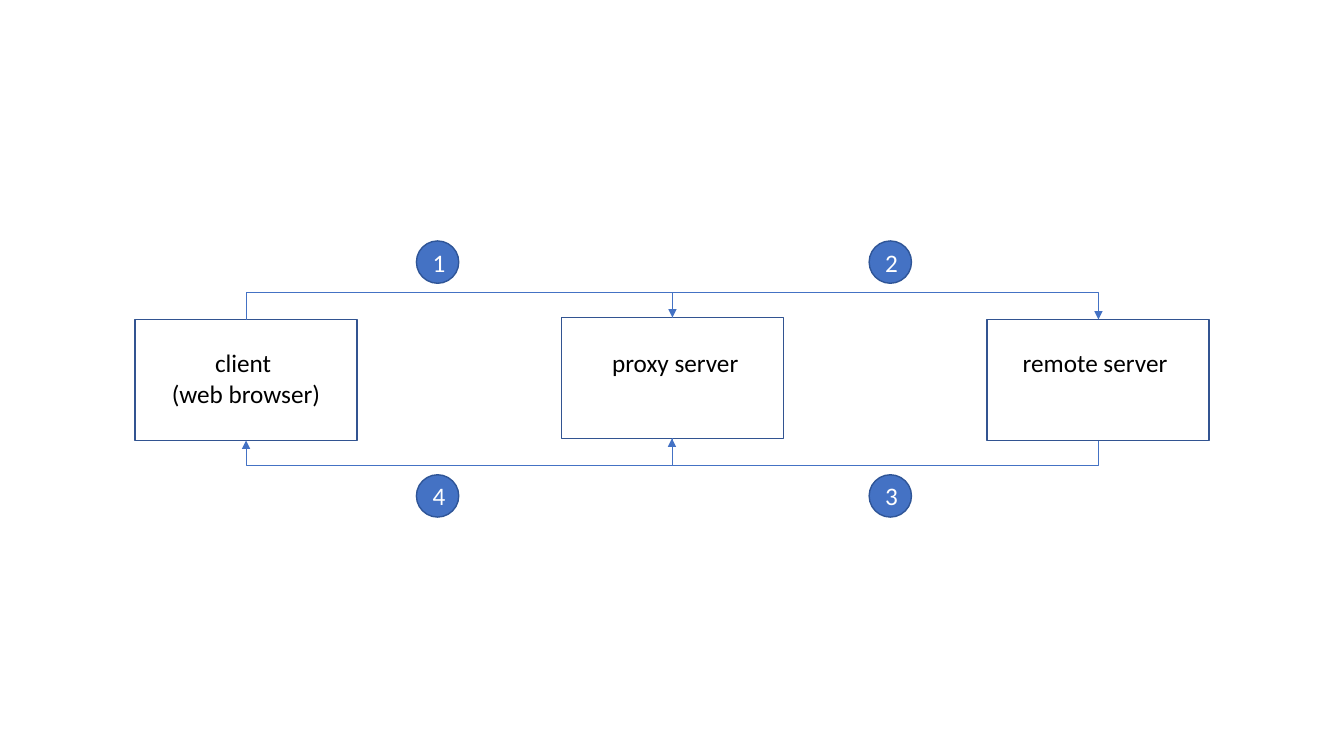
from lxml import etree
from pptx import Presentation
from pptx.dml.color import RGBColor
from pptx.enum.shapes import MSO_CONNECTOR, MSO_SHAPE
from pptx.enum.text import MSO_ANCHOR, PP_ALIGN
from pptx.oxml.ns import qn
from pptx.util import Inches, Pt

ELBOW = MSO_CONNECTOR.ELBOW
RECTANGLE, OVAL = MSO_SHAPE.RECTANGLE, MSO_SHAPE.OVAL
CENTER, MIDDLE = PP_ALIGN.CENTER, MSO_ANCHOR.MIDDLE
TOP_SITE, BOTTOM_SITE = 0, 2
BLUE = "4472C4"


def paint(color_format, hex_color):
    color_format.rgb = RGBColor.from_string(hex_color)


def write(frame, text, hex_color):
    frame.text = text
    for paragraph in frame.paragraphs:
        paragraph.alignment = CENTER
        for run in paragraph.runs:
            run.font.name = "Calibri"
            run.font.size = Pt(18)
            paint(run.font.color, hex_color)


deck = Presentation()
deck.slide_width, deck.slide_height = Inches(13.33), Inches(7.5)
slide = deck.slides.add_slide(deck.slide_layouts[6])
shapes = slide.shapes

host_width, host_height = 2.2, 1.2
host_centers = [2.44, 6.67, 10.89]
host_tops = [3.17, 3.15, 3.17]
host_labels = ["client \n(web browser)", " proxy server", "remote server "]
label_width = 1.87

hosts = []
for center, top in zip(host_centers, host_tops):
    host = shapes.add_shape(RECTANGLE, Inches(center - host_width / 2), Inches(top),
                            Inches(host_width), Inches(host_height))
    host.shadow.inherit = False
    host.fill.background()
    paint(host.line.color, "325491")
    host.line.width = Pt(1)
    hosts.append(host)

for center, text in zip(host_centers, host_labels):
    label_height = 0.71 if "\n" in text else 0.4
    label = shapes.add_textbox(Inches(center - label_width / 2), Inches(3.4),
                               Inches(label_width), Inches(label_height))
    label.text_frame.word_wrap = True
    write(label.text_frame, text, "000000")

hops = [
    (0, 1, TOP_SITE, 90, True, True, 13.2),
    (1, 2, TOP_SITE, 270, True, False, -12.2),
    (1, 0, BOTTOM_SITE, 90, False, False, 13.2),
    (2, 1, BOTTOM_SITE, 90, True, False, -12.2),
]
span, step = 4.23, 0.02
for source, target, site, angle, flip_h, flip_v, bend in hops:
    hop = shapes.add_connector(ELBOW, 0, 0, 0, 0)
    hop.begin_connect(hosts[source], site)
    hop.end_connect(hosts[target], site)
    mid_x = (host_centers[source] + host_centers[target]) / 2
    mid_y = 3.16 + (host_height if site == BOTTOM_SITE else 0)
    hop.left, hop.top = Inches(mid_x - step / 2), Inches(mid_y - span / 2)
    hop.width, hop.height = Inches(step), Inches(span)
    paint(hop.line.color, BLUE)
    hop.line.width = Pt(0.5)

    properties = hop.element.spPr
    transform = properties.find(qn("a:xfrm"))
    transform.set("rot", str(angle * 60000))
    transform.set("flipH", str(int(flip_h)))
    transform.set("flipV", str(int(flip_v)))
    adjustments = properties.find(qn("a:prstGeom")).find(qn("a:avLst"))
    etree.SubElement(adjustments, qn("a:gd"), name="adj1",
                     fmla=f"val {round(bend * 100000)}")
    etree.SubElement(properties.find(qn("a:ln")), qn("a:tailEnd"), type="triangle")
    etree.SubElement(properties, qn("a:effectLst"))

badge_size = 0.42
badges = [("1", 4.13, 2.39), ("2", 8.62, 2.39), ("3", 8.62, 4.71), ("4", 4.13, 4.71)]
for number, left, top in badges:
    badge = shapes.add_shape(OVAL, Inches(left), Inches(top),
                             Inches(badge_size), Inches(badge_size))
    badge.shadow.inherit = False
    badge.fill.solid()
    paint(badge.fill.fore_color, BLUE)
    paint(badge.line.color, "2F5597")
    badge.line.width = Pt(1)
    badge.text_frame.vertical_anchor = MIDDLE
    write(badge.text_frame, number, "FFFFFF")

deck.save("out.pptx")
